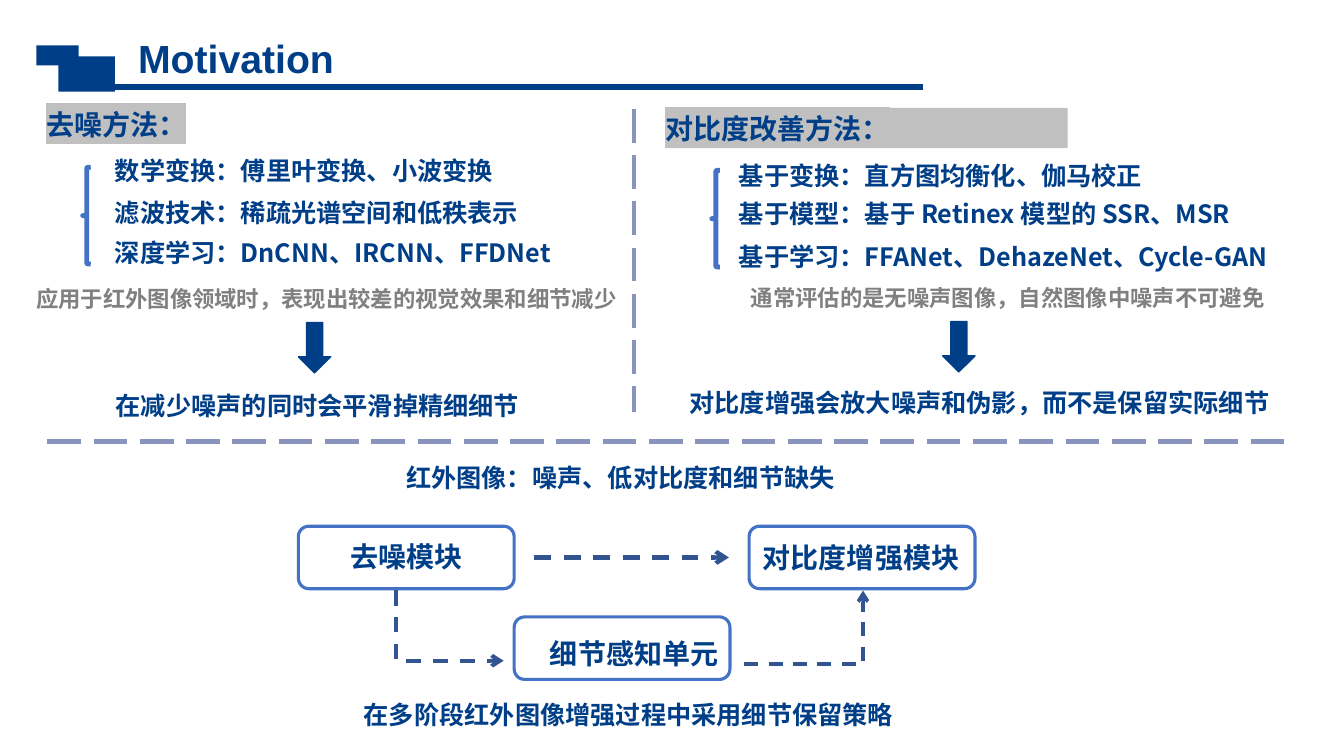
from lxml.etree import SubElement
from pptx import Presentation
from pptx.dml.color import RGBColor
from pptx.enum.dml import MSO_LINE
from pptx.enum.shapes import MSO_CONNECTOR, MSO_SHAPE
from pptx.enum.text import MSO_ANCHOR, PP_ALIGN
from pptx.oxml.ns import qn
from pptx.util import Pt

PX = 9144
COLORS = {
    "navy": "003F88", "divider": "8994BD", "outline": "4472C4", "flow": "325491",
    "grey": "808080", "highlight": "C0C0C0", "white": "FFFFFF",
}
CHINESE_FONT = "Noto Sans CJK SC"

presentation = Presentation()
presentation.slide_width = 1333 * PX
presentation.slide_height = 750 * PX
slide = presentation.slides.add_slide(presentation.slide_layouts[5])


def add_figure(kind, left, top, width, height, fill=None, line=None, line_width=1):
    shape = slide.shapes.add_shape(kind, left * PX, top * PX, width * PX, height * PX)
    shape.shadow.inherit = False
    if fill:
        shape.fill.solid()
        shape.fill.fore_color.rgb = RGBColor.from_string(COLORS[fill])
    else:
        shape.fill.background()
    if line:
        shape.line.color.rgb = RGBColor.from_string(COLORS[line])
        shape.line.width = Pt(line_width)
    else:
        shape.line.fill.background()


def add_label(text, left, top, width, height, size=18, color="navy", align=PP_ALIGN.LEFT):
    box = slide.shapes.add_textbox(left * PX, top * PX, width * PX, height * PX)
    box.text_frame.word_wrap = True
    box.text_frame.text = text
    paragraph = box.text_frame.paragraphs[0]
    paragraph.alignment = align
    run = paragraph.runs[0]
    run.font.size = Pt(size)
    run.font.bold = True
    run.font.color.rgb = RGBColor.from_string(COLORS[color])
    run.font.name = CHINESE_FONT
    SubElement(run.font._element, qn("a:ea"), typeface=CHINESE_FONT)
    return run


add_figure(MSO_SHAPE.RECTANGLE, 36, 45, 42, 20, "navy")
add_figure(MSO_SHAPE.RECTANGLE, 58, 56, 56, 35, "navy")

title = slide.shapes.title
title.left, title.top, title.width, title.height = 127 * PX, 29 * PX, 224 * PX, 57 * PX
title.text_frame.text = "Motivation"
title.text_frame.vertical_anchor = MSO_ANCHOR.TOP
title.text_frame.word_wrap = True
title_paragraph = title.text_frame.paragraphs[0]
title_paragraph.alignment = PP_ALIGN.LEFT
title_font = title_paragraph.runs[0].font
title_font.name = "Arial"
title_font.size = Pt(28)
title_font.bold = True
title_font.color.rgb = RGBColor.from_string(COLORS["navy"])

add_figure(MSO_SHAPE.RECTANGLE, 660, 107, 399, 40, "highlight")
for text, left, top in [("去噪方法：", 36, 102), ("对比度改善方法：", 650, 106)]:
    run = add_label(text, left, top, 400, 35, size=20)
    highlight = SubElement(run.font._element, qn("a:highlight"))
    SubElement(highlight, qn("a:srgbClr"), val=COLORS["highlight"])
    run.font._element.find(qn("a:solidFill")).addnext(highlight)

for left, top in [(82, 166), (706, 169)]:
    add_figure(MSO_SHAPE.LEFT_BRACE, left, top, 8, 96, line="outline", line_width=3.5)
for left, top in [(296, 320), (935, 319)]:
    add_figure(MSO_SHAPE.DOWN_ARROW, left, top, 32, 50, "navy", "navy")

for text, left, top, width, height in [
    ("数学变换：傅里叶变换、小波变换", 104, 149, 458, 39),
    ("滤波技术：稀疏光谱空间和低秩表示", 104, 191, 458, 44),
    ("深度学习：DnCNN、IRCNN、FFDNet", 104, 231, 501, 44),
    ("基于变换：直方图均衡化、伽马校正", 723, 154, 520, 34),
    ("基于模型：基于 Retinex 模型的 SSR、MSR", 723, 192, 541, 34),
    ("基于学习：FFANet、DehazeNet、Cycle-GAN", 723, 234, 582, 41),
    ("在减少噪声的同时会平滑掉精细细节", 105, 382, 472, 39),
    ("对比度增强会放大噪声和伪影，而不是保留实际细节", 674, 379, 614, 65),
    ("红外图像：噪声、低对比度和细节缺失", 393, 454, 472, 39),
    ("在多阶段红外图像增强过程中采用细节保留策略", 351, 689, 653, 39),
]:
    add_label(text, left, top, width, height)

for text, left, top, width in [
    ("应用于红外图像领域时，表现出较差的视觉效果和细节减少", 26, 278, 653),
    ("通常评估的是无噪声图像，自然图像中噪声不可避免", 735, 277, 580),
]:
    add_label(text, left, top, width, 39, size=16, color="grey")

for text, left, top, width, text_left, text_top in [
    ("去噪模块", 296, 522, 214, 296, 530),
    ("对比度增强模块", 743, 522, 224, 742, 531),
    ("细节感知单元", 510, 612, 214, 522, 627),
]:
    add_figure(MSO_SHAPE.FLOWCHART_ALTERNATE_PROCESS, left, top, width, 62, "white", "outline", 2.25)
    add_label(text, text_left, text_top, width, 44, size=20, align=PP_ALIGN.CENTER)

STRAIGHT, ELBOW = MSO_CONNECTOR.STRAIGHT, MSO_CONNECTOR.ELBOW
for kind, start_x, start_y, end_x, end_y, color, width, dash, arrow, turn in [
    (STRAIGHT, 98, 86, 915, 86, "navy", 4.5, None, False, 0),
    (STRAIGHT, 629, 108, 629, 409, "divider", 3, MSO_LINE.LONG_DASH, False, 0),
    (STRAIGHT, 47, 438, 1278, 438, "divider", 3, MSO_LINE.LONG_DASH, False, 0),
    (STRAIGHT, 530, 553, 723, 553, "flow", 3, MSO_LINE.DASH, True, 0),
    (ELBOW, 738, 659, 856, 586, "flow", 2.5, MSO_LINE.DASH, True, 0),
    (ELBOW, 411, 674, 481, 567, "flow", 2.75, MSO_LINE.DASH, True, 90),
]:
    connector = slide.shapes.add_connector(kind, start_x * PX, start_y * PX, end_x * PX, end_y * PX)
    connector.line.color.rgb = RGBColor.from_string(COLORS[color])
    connector.line.width = Pt(width)
    if dash:
        connector.line.dash_style = dash
    properties = connector._element.spPr
    if arrow:
        SubElement(properties.find(qn("a:ln")), qn("a:tailEnd"), type="arrow")
    if kind == ELBOW:
        properties.find(qn("a:prstGeom")).set("prst", "bentConnector2")
    if turn:
        properties.find(qn("a:xfrm")).set("rot", str(turn * 60000))
    SubElement(properties, qn("a:effectLst"))

presentation.save("out.pptx")
